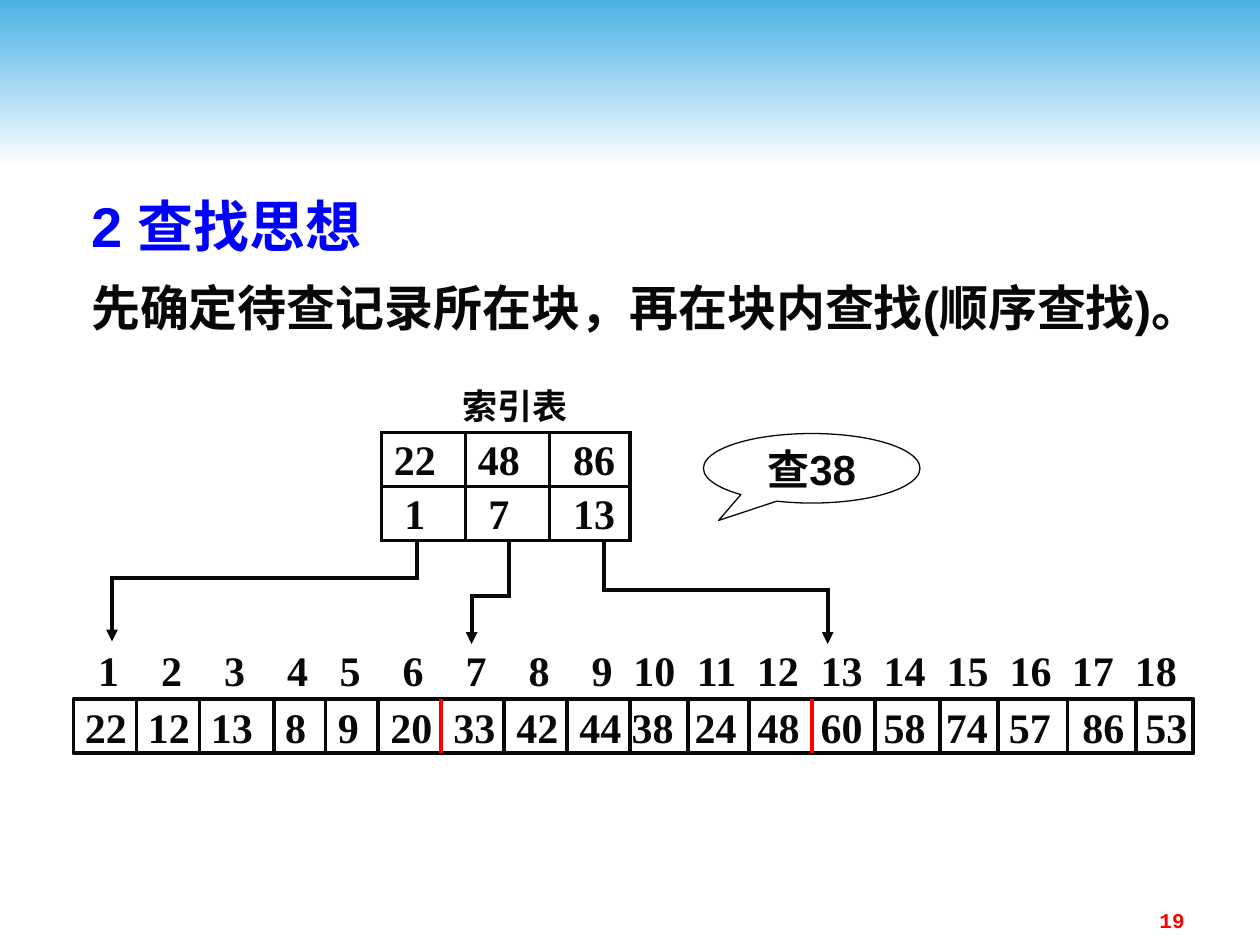
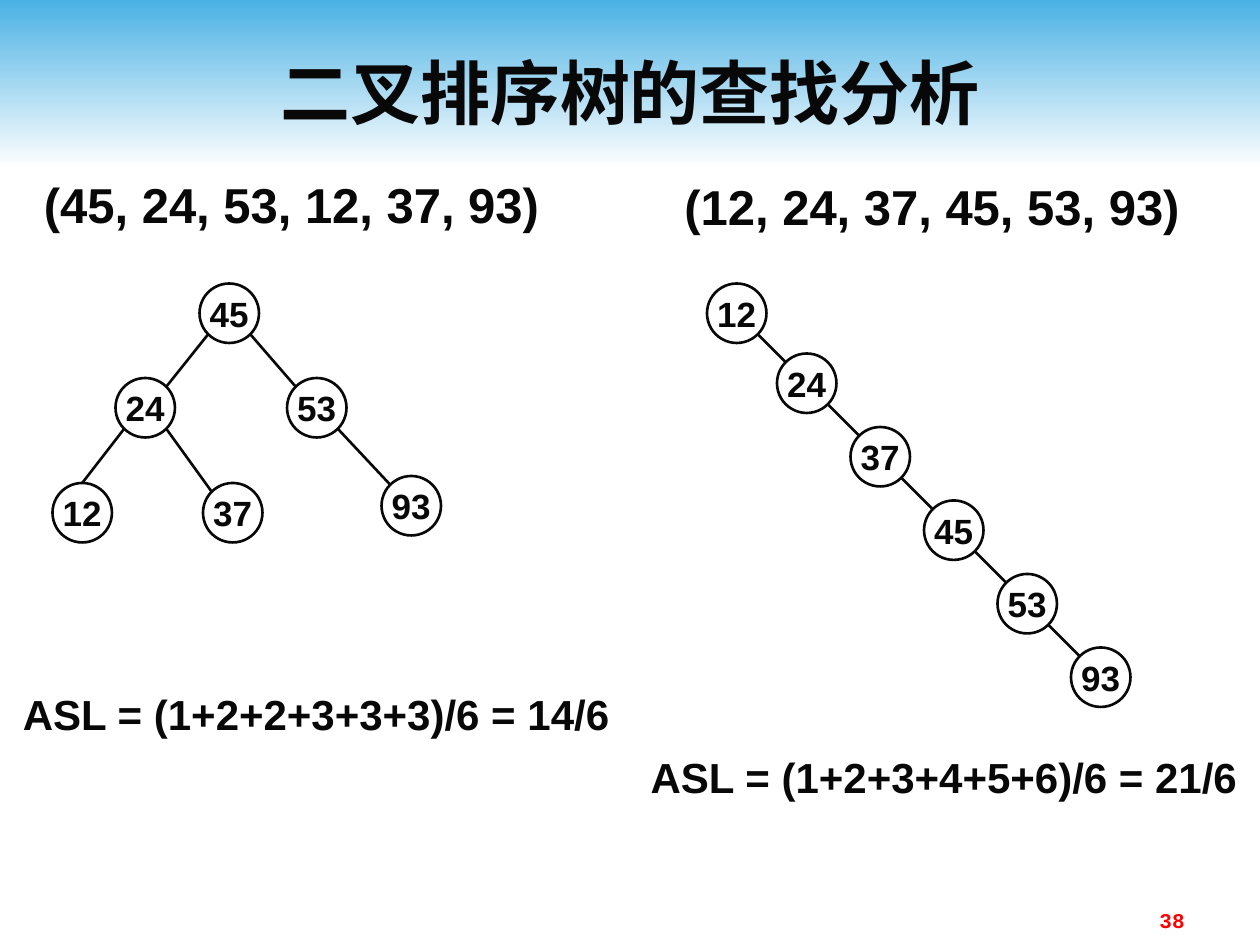
"""Two slides on searching: the indexed block search and the binary sort tree."""
from lxml import etree
from pptx import Presentation
from pptx.dml.color import RGBColor
from pptx.enum.shapes import MSO_CONNECTOR, MSO_SHAPE
from pptx.enum.text import MSO_ANCHOR, PP_ALIGN
from pptx.oxml.ns import qn
from pptx.util import Pt

LINE = MSO_CONNECTOR.STRAIGHT
RECT = MSO_SHAPE.RECTANGLE
OVAL = MSO_SHAPE.OVAL
CALLOUT = MSO_SHAPE.OVAL_CALLOUT
LEFT, CENTER, RIGHT = PP_ALIGN.LEFT, PP_ALIGN.CENTER, PP_ALIGN.RIGHT
TOP, MIDDLE = MSO_ANCHOR.TOP, MSO_ANCHOR.MIDDLE

COLORS = {"ink": "080808", "blue": "0000FF", "red": "FF0000",
          "sky": "4AB1E4", "white": "FFFFFF"}
SANS, SERIF, MONO = "Arial", "Times New Roman", "Courier New"
SLIDE_W, SLIDE_H = 720, 540
ROW_H = 31
NODE = 34
DIAGONAL = NODE / 2 * 0.71


def rgb(name):
    """Return the named colour."""
    return RGBColor.from_string(COLORS[name])


def write(p, text, size=24, font=SANS, color="ink", align=LEFT):
    """Put one bold run of text into a paragraph."""
    p.alignment = align
    r = p.add_run()
    r.text = text
    r.font.size, r.font.name, r.font.bold = Pt(size), font, True
    r.font.color.rgb = rgb(color)


def add_text(s, box, text, anchor=TOP, **fmt):
    """Add a text box with one paragraph and return its frame."""
    tf = s.shapes.add_textbox(*map(Pt, box)).text_frame
    tf.word_wrap, tf.vertical_anchor = True, anchor
    write(tf.paragraphs[0], text, **fmt)
    return tf


def clear_margins(frame):
    """Set the four margins of a text frame or cell to zero."""
    frame.margin_left = frame.margin_right = 0
    frame.margin_top = frame.margin_bottom = 0


def add_outline(s, kind, box, weight):
    """Add an unfilled outlined shape."""
    sp = s.shapes.add_shape(kind, *map(Pt, box))
    sp.shadow.inherit = False
    sp.fill.background()
    sp.line.color.rgb, sp.line.width = rgb("ink"), Pt(weight)
    tf = sp.text_frame
    tf.vertical_anchor = MIDDLE
    clear_margins(tf)
    return sp


def add_label(s, kind, box, text, weight, size):
    """Add an outlined shape with centred text."""
    sp = add_outline(s, kind, box, weight)
    sp.text_frame.word_wrap = False
    write(sp.text_frame.paragraphs[0], text, size=size, align=CENTER)
    return sp


def add_line(s, start, end, weight, color="ink", cap="flat", arrow=False):
    """Add a straight line, with an arrowhead at its end if asked."""
    cx = s.shapes.add_connector(LINE, *map(Pt, (*start, *end)))
    cx.line.color.rgb, cx.line.width = rgb(color), Pt(weight)
    etree.SubElement(cx._element.spPr, qn("a:effectLst"))
    ln = cx.line._get_or_add_ln()
    ln.set("cap", cap)
    if arrow:
        etree.SubElement(ln, qn("a:tailEnd"), type="triangle")


def write_tabbed(tf, values, centers):
    """Write numbers on one line, each centred on its tab stop."""
    tf.word_wrap = True
    p = tf.paragraphs[0]
    tabs = etree.SubElement(p._p.get_or_add_pPr(), qn("a:tabLst"))
    for x in centers:
        etree.SubElement(tabs, qn("a:tab"), pos=str(Pt(x)), algn="ctr")
    write(p, "".join(f"\t{value}" for value in values), font=SERIF)


def set_borders(cell):
    """Draw the four borders of a cell."""
    tcPr = cell._tc.get_or_add_tcPr()
    for i, tag in enumerate(("a:lnL", "a:lnR", "a:lnT", "a:lnB")):
        ln = etree.Element(qn(tag), w=str(Pt(2.25)))
        fill = etree.SubElement(ln, qn("a:solidFill"))
        etree.SubElement(fill, qn("a:srgbClr"), val=COLORS["ink"])
        tcPr.insert(i, ln)


def add_slide(prs, number):
    """Add a slide with the sky band and the red slide number."""
    s = prs.slides.add_slide(prs.slide_layouts[6])
    sp = s.shapes.add_shape(RECT, 0, 0, Pt(SLIDE_W), Pt(96))
    sp.shadow.inherit = False
    sp.line.fill.background()
    sp.fill.gradient()
    sp.fill.gradient_angle = 270
    for stop, position, color in zip(sp.fill.gradient_stops, (0, 1), ("sky", "white")):
        stop.position, stop.color.rgb = position, rgb(color)
    add_text(s, (516, 515, 168, 19), str(number), size=12, font=MONO,
             color="red", align=RIGHT)
    return s


def add_idea(s, box):
    """Write the heading and the sentence on the search idea."""
    tf = add_text(s, box, "2 查找思想", size=32, color="blue")
    p = tf.add_paragraph()
    write(p, "先确定待查记录所在块，再在块内查找(顺序查找)。", size=28)
    p.space_before = Pt(7)
    for p in tf.paragraphs:
        p.line_spacing = 1.1
        p._p.get_or_add_pPr().set("marL", str(Pt(27)))


def add_index(s, left, top):
    """Draw the index table with its caption."""
    add_text(s, (left + 39, top - 31, 84, 32), "索引表", size=20, font=SERIF)
    rows = ((22, 48, 86), (1, 7, 13))
    columns = ((48, 0, 10), (48, 0, 10), (46, 5, 0))
    table = s.shapes.add_table(2, 3, Pt(left), Pt(top), Pt(142), Pt(2 * ROW_H)).table
    table.first_row = table.horz_banding = False
    for i, row in enumerate(rows):
        table.rows[i].height = Pt(ROW_H)
        for j, (width, pad_left, pad_right) in enumerate(columns):
            table.columns[j].width = Pt(width)
            cell = table.cell(i, j)
            clear_margins(cell)
            cell.margin_left, cell.margin_right = Pt(pad_left), Pt(pad_right)
            cell.margin_top = Pt(2)
            cell.vertical_anchor = MIDDLE
            cell.fill.background()
            set_borders(cell)
            write(cell.text_frame.paragraphs[0], str(row[j]), font=SERIF, align=CENTER)


def add_records(s, left, top):
    """Draw the strip of records under their positions, with red lines between blocks."""
    values = (22, 12, 13, 8, 9, 20, 33, 42, 44, 38, 24, 48, 60, 58, 74, 57, 86, 53)
    value_centers = (18.5, 54.5, 90.5, 127, 157, 193, 229, 265, 301,
                     331, 367, 403, 439, 475, 510.5, 546.5, 588.5, 624.5)
    position_centers = (20, 56, 92, 128, 158, 194, 230, 266, 302,
                        332, 367.5, 402.5, 439, 475, 511, 547, 582.5, 618.5)
    dividers = (36, 72, 114.5, 144, 174, 210, 246, 282, 318,
                351, 386, 422, 458, 495, 528.5, 568, 607)
    block_ends = (6, 12)
    tf = s.shapes.add_textbox(Pt(left), Pt(top - 31), Pt(640), Pt(29)).text_frame
    clear_margins(tf)
    write_tabbed(tf, range(1, len(values) + 1), position_centers)
    strip = add_outline(s, RECT, (left, top, 640, ROW_H), 2.25)
    write_tabbed(strip.text_frame, values, value_centers)
    for i, x in enumerate(dividers, 1):
        add_line(s, (left + x, top), (left + x, top + ROW_H), 2.25,
                 color="red" if i in block_ends else "ink")


def add_pointers(s, top):
    """Lead from each index entry to the first record of its block."""
    for x, bend, target, length in ((238.5, 21, 64, 57), (291, 31, 269.5, 58.5),
                                    (345, 27.5, 473, 58.5)):
        corners = ((x, top), (x, top + bend), (target, top + bend), (target, top + length))
        for i in range(3):
            add_line(s, corners[i], corners[i + 1], 2.25, cap="sq", arrow=i == 2)


def add_tree(s, left, top, nodes, edges):
    """Draw a tree from node offsets and parent-child edges."""
    centers = {}
    for value, (x, y) in nodes.items():
        add_label(s, OVAL, (left + x, top + y, NODE, NODE), str(value), 1.5, 20)
        centers[value] = left + x + NODE / 2, top + y + NODE / 2
    for parent, child, *at_top in edges:
        (px, py), (cx, cy) = centers[parent], centers[child]
        shift = DIAGONAL if cx > px else -DIAGONAL
        end = (cx, cy - NODE / 2) if at_top else (cx - shift, cy - DIAGONAL)
        add_line(s, (px + shift, py + DIAGONAL), end, 1.5)


def build_block_search(prs):
    """Build the slide on the indexed block search."""
    s = add_slide(prs, 19)
    add_idea(s, (18, 102.25, 690, 396))
    add_index(s, 218, 247)
    sp = add_label(s, CALLOUT, (402, 247.75, 123.75, 39.75), "查38", 0.75, 24)
    sp.adjustments[0], sp.adjustments[1] = -0.43, 0.75
    add_pointers(s, 309.5)
    add_records(s, 42, 399.5)


def build_tree_analysis(prs):
    """Build the slide that compares two binary sort trees."""
    s = add_slide(prs, 38)
    add_text(s, (36, 18, 648, 68), "二叉排序树的查找分析", anchor=MIDDLE,
             size=40, align=CENTER)
    add_text(s, (18, 96, 312, 41), "(45, 24, 53, 12, 37, 93)", size=28)
    add_text(s, (384, 97.5, 312, 41), "(12, 24, 37, 45, 53, 93)", size=28)
    add_tree(s, 30, 162,
             {45: (84, 0), 24: (36, 54), 53: (134, 54),
              12: (0, 114), 37: (86, 114), 93: (188, 110)},
             ((45, 24), (24, 12, "top"), (45, 53), (24, 37), (53, 93)))
    chain = (12, 24, 37, 45, 53, 93)
    steps = (0, 40, 82, 124, 166, 208)
    add_tree(s, 404, 162, {value: (step, step) for value, step in zip(chain, steps)},
             zip(chain, chain[1:]))
    add_text(s, (6, 390, 360, 36), "ASL = (1+2+2+3+3+3)/6 = 14/6")
    add_text(s, (354, 426, 360, 36), "ASL = (1+2+3+4+5+6)/6 = 21/6", align=RIGHT)


def main():
    """Build and save the presentation."""
    prs = Presentation()
    prs.slide_width, prs.slide_height = Pt(SLIDE_W), Pt(SLIDE_H)
    build_block_search(prs)
    build_tree_analysis(prs)
    prs.save("out.pptx")


if __name__ == "__main__":
    main()
